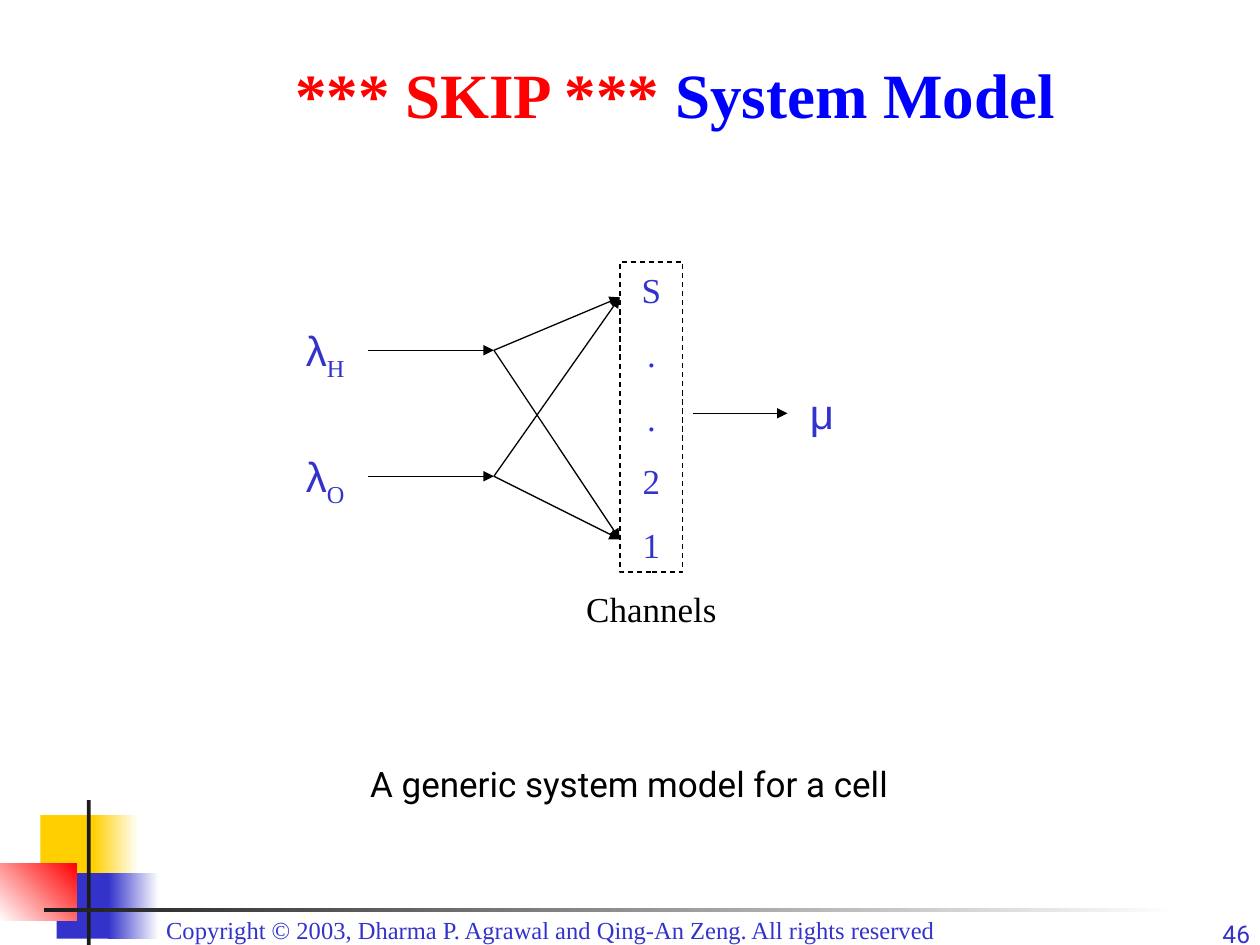
from lxml.etree import SubElement
from pptx import Presentation
from pptx.dml.color import RGBColor
from pptx.enum.dml import MSO_LINE
from pptx.enum.shapes import MSO_CONNECTOR, MSO_SHAPE
from pptx.enum.text import MSO_ANCHOR, PP_ALIGN as Align
from pptx.oxml.ns import qn
from pptx.util import Inches, Pt

COLORS = {"yellow": "FFCF01", "blue": "3333CC", "red": "FF0000", "bright": "0000FF",
          "dark": "1C1C1C", "white": "FFFFFF", "black": "000000"}
SERIF, SANS, GREEK = "Times New Roman", "Roboto", "Arial"

# place, colours (two make a gradient), gradient angle counter-clockwise
ORNAMENTS = [
    ((0.32, 6.47, 0.48, 0.52), ["yellow"], 0),
    ((0.74, 6.47, 0.36, 0.52), ["white", "yellow"], 180),
    ((0.45, 6.93, 0.46, 0.52), ["blue"], 0),
    ((0.86, 6.93, 0.40, 0.52), ["white", "blue"], 180),
    ((0, 6.85, 0.61, 0.46), ["red", "white"], 225),
    ((0.69, 6.35, 0.03, 1.15), ["dark"], 0),
    ((0.35, 7.21, 9, 0.03), ["white", "dark"], 180),
]

# place, spans of (text, size, font, colour), alignment
LABELS = [
    ((1.22, 7.21, 7.58, 0.34),
     [("Copyright © 2003, Dharma P. Agrawal and Qing-An Zeng. All rights reserved",
       14, SERIF, "blue")], Align.LEFT),
    ((4.42, 4.61, 1.5, 0.44), [("Channels", 20, SERIF, "black")], Align.CENTER),
    ((6.33, 3.03, 0.5, 0.5), [("μ", 24, GREEK, "blue")], Align.LEFT),
    ((1.33, 6, 7.33, 0.44),
     [("A generic system model for a cell", 20, SANS, "black")], Align.CENTER),
]
TITLE = [("*** SKIP *** ", 36, SERIF, "red"), ("System Model ", 36, SERIF, "bright")]
PAGE_NUMBER = [("46", 14, SANS, "blue")]

CHANNELS = ["S", ".", ".", "2", "1"]
CHANNEL_BOX = (4.92, 2.08, 0.5, 2.46)
SOURCES = [("H", 2.78), ("O", 3.78)]  # subscript, height of the flow
SOURCE_X, FORK_X = 2.92, 3.92
CHANNEL_ENDS = [2.36, 4.28]
SERVICE = ((5.5, 3.28), (6.25, 3.28))


def color(name):
    return RGBColor.from_string(COLORS[name])


def add_span(para, text, size, font, tint, bold=False):
    span = para.add_run()
    span.text = text
    look = {"size": Pt(size), "name": font, "bold": bold}
    for key, value in look.items():
        setattr(span.font, key, value)
    span.font.color.rgb = color(tint)
    return span


def set_frame(frame, **changes):
    """Wrap the text and apply the usual insets, with any changes."""
    look = {"word_wrap": True, "vertical_anchor": MSO_ANCHOR.TOP,
            "margin_left": Inches(0.1), "margin_right": Inches(0.1),
            "margin_top": Inches(0.05), "margin_bottom": Inches(0.05)}
    for key, value in {**look, **changes}.items():
        setattr(frame, key, value)


def add_label(page, place, spans, align=Align.LEFT, bold=False, **changes):
    box = page.shapes.add_textbox(*map(Inches, place))
    set_frame(box.text_frame, **changes)
    para = box.text_frame.paragraphs[0]
    para.alignment = align
    return [add_span(para, *span, bold=bold) for span in spans]


def add_rectangle(page, place):
    box = page.shapes.add_shape(MSO_SHAPE.RECTANGLE, *map(Inches, place))
    box.shadow.inherit = False
    return box


def add_ornament(page, place, tints, angle):
    box = add_rectangle(page, place)
    box.line.fill.background()
    if len(tints) == 1:
        box.fill.solid()
        box.fill.fore_color.rgb = color(tints[0])
    else:
        box.fill.gradient()
        box.fill.gradient_angle = angle
        for stop, tint in zip(box.fill.gradient_stops, tints):
            stop.color.rgb = color(tint)


def add_channels(page):
    box = add_rectangle(page, CHANNEL_BOX)
    box.fill.background()
    box.line.color.rgb = color("black")
    box.line.width = Pt(0.75)
    box.line.dash_style = MSO_LINE.DASH
    set_frame(box.text_frame)
    for i, name in enumerate(CHANNELS):
        para = box.text_frame.add_paragraph() if i else box.text_frame.paragraphs[0]
        para.alignment = Align.CENTER
        if i:
            para.space_before = Pt(12.5)
        add_span(para, name, 20, SERIF, "blue")


def add_arrow(page, start, end):
    arrow = page.shapes.add_connector(MSO_CONNECTOR.STRAIGHT, *map(Inches, start + end))
    arrow.line.color.rgb = color("black")
    arrow.line.width = Pt(0.75)
    SubElement(arrow.line._get_or_add_ln(), qn("a:tailEnd"), type="triangle")
    SubElement(arrow._element.spPr, qn("a:effectLst"))


def add_source(page, subscript, y):
    """Add a labelled flow that forks to both ends of the channels."""
    spans = [("λ", 24, GREEK, "blue"), (subscript, 24, SERIF, "blue")]
    sub = add_label(page, (2.33, y - 0.25, 0.58, 0.56), spans)[1]
    sub.font._element.set("baseline", "-25000")
    add_arrow(page, (SOURCE_X, y), (FORK_X, y))
    for end in CHANNEL_ENDS:
        add_arrow(page, (FORK_X, y), (CHANNEL_BOX[0], end))


def main():
    deck = Presentation()
    deck.slide_width, deck.slide_height = Inches(10), Inches(7.5)
    page = deck.slides.add_slide(deck.slide_layouts[6])
    for ornament in ORNAMENTS:
        add_ornament(page, *ornament)
    add_label(page, (1.17, 0.17, 8.5, 0.92), TITLE, Align.CENTER, bold=True,
              vertical_anchor=MSO_ANCHOR.BOTTOM)
    add_label(page, (9.22, 7.29, 0.8, 0.27), PAGE_NUMBER, Align.RIGHT,
              margin_top=0, margin_bottom=0)
    for label in LABELS:
        add_label(page, *label)
    add_channels(page)
    for source in SOURCES:
        add_source(page, *source)
    add_arrow(page, *SERVICE)
    deck.save("out.pptx")


if __name__ == "__main__":
    main()
